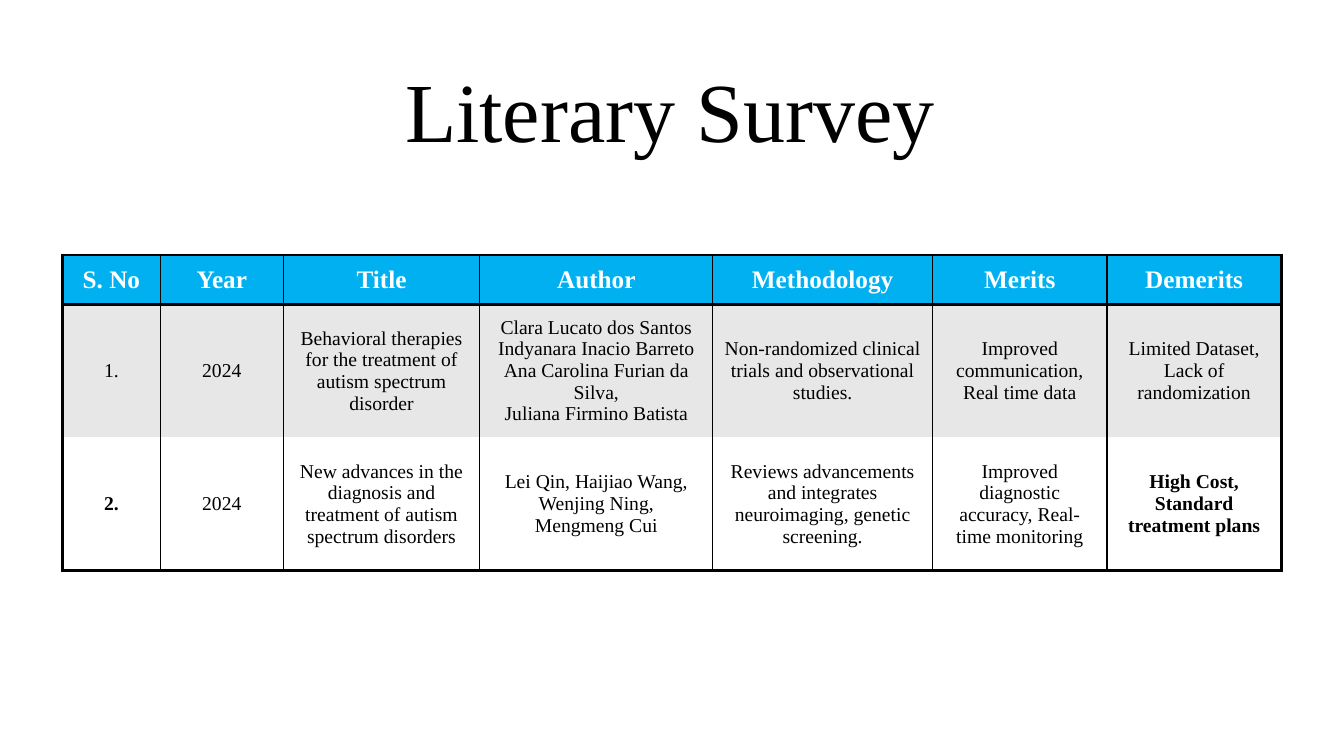
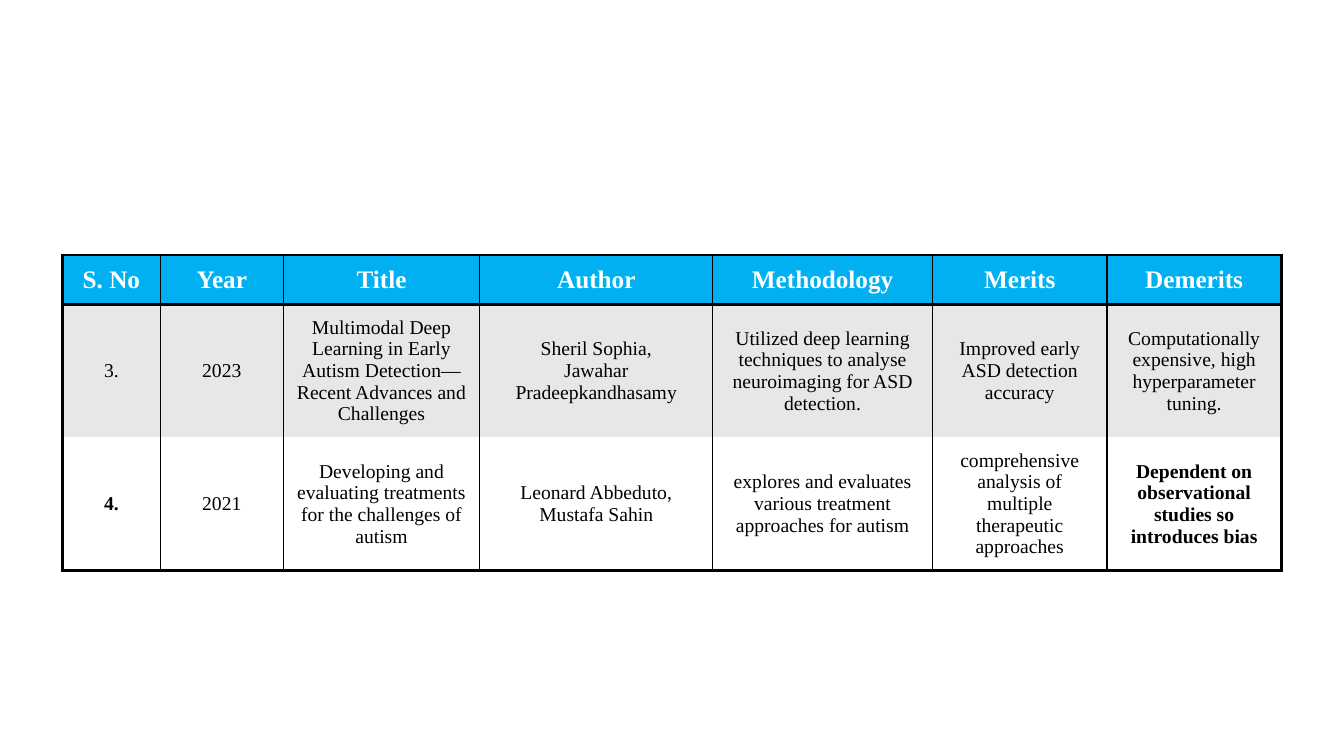
from dataclasses import dataclass
from lxml.etree import SubElement
from pptx import Presentation
from pptx.dml.color import RGBColor
from pptx.enum.text import MSO_ANCHOR, PP_ALIGN
from pptx.oxml.ns import qn
from pptx.util import Pt

PX = 9144  # EMU per px, 100 px to the inch


@dataclass(frozen=True)
class Theme:
    font: str = "Times New Roman"
    black: str = "000000"
    white: str = "FFFFFF"
    blue: str = "00B0F0"
    grey: str = "E7E7E7"
    title: int = 60
    head: int = 18
    body: int = 14
    thin: float = 1
    rule: float = 2
    frame: float = 2.25


T = Theme()
SIZE = (1333, 750)
TITLE_BOX = (392, 53, 667, 111)
GRID_BOX = (62, 253, 1209, 313)
COLS = (97, 122, 195, 231, 218, 173, 173)
ROWS = (49, 132, 132)
HEAD = ("S. No", "Year", "Title", "Author", "Methodology", "Merits", "Demerits")

# Each page: title (or None) and its table rows
PAGES = (
    ("Literary Survey", (
        ("1.", "2024",
         "Behavioral therapies for the treatment of autism spectrum disorder",
         "Clara Lucato dos Santos Indyanara Inacio Barreto "
         "Ana Carolina Furian da Silva,\nJuliana Firmino Batista",
         "Non-randomized clinical trials and observational studies.",
         "Improved communication,\nReal time data",
         "Limited Dataset,\nLack of randomization"),
        ("2.", "2024",
         "New advances in the diagnosis and treatment of autism spectrum disorders",
         "Lei Qin, Haijiao Wang, Wenjing Ning,\nMengmeng Cui",
         "Reviews advancements and integrates neuroimaging, genetic screening.",
         "Improved diagnostic accuracy, Real-time monitoring",
         "High Cost,\nStandard treatment plans"),
    )),
    (None, (
        ("3.", "2023",
         "Multimodal Deep Learning in Early Autism Detection—Recent Advances "
         "and Challenges",
         "Sheril Sophia,\nJawahar Pradeepkandhasamy",
         "Utilized deep learning techniques to analyse neuroimaging for ASD detection.",
         "Improved early ASD detection accuracy",
         "Computationally expensive, high hyperparameter tuning."),
        ("4.", "2021",
         "Developing and evaluating treatments for the challenges of autism",
         "Leonard Abbeduto, Mustafa Sahin",
         "explores and evaluates various treatment approaches for autism",
         "comprehensive analysis of multiple therapeutic approaches",
         "Dependent on observational studies so introduces bias"),
    )),
)


def emu(box):
    return [n * PX for n in box]


def style(frame, color, align, **form):
    """Give every paragraph of a text frame one look."""
    for para in frame.paragraphs:
        para.alignment = align
        for run in para.runs:
            for key, value in {"name": T.font, **form}.items():
                setattr(run.font, key, value)
            run.font.color.rgb = RGBColor.from_string(color)


def edge(cell, sides):
    """Draw cell borders; a width of 0 hides the side."""
    props = cell._tc.get_or_add_tcPr()
    for side, width in sides.items():
        line = SubElement(props, qn(f"a:ln{side}"), w=str(Pt(width)))
        if width:
            fill = SubElement(line, qn("a:solidFill"))
            SubElement(fill, qn("a:srgbClr"), val=T.black)
        else:
            SubElement(line, qn("a:noFill"))


def title(slide, box, text):
    frame = slide.shapes.add_textbox(*emu(box)).text_frame
    frame.word_wrap = True
    frame.text = text
    style(frame, T.black, PP_ALIGN.LEFT, size=Pt(T.title))


def grid(slide, box, data):
    table = slide.shapes.add_table(len(ROWS), len(COLS), *emu(box)).table
    for col, width in zip(table.columns, COLS):
        col.width = width * PX
    for row, height in zip(table.rows, ROWS):
        row.height = height * PX

    # Rules above and below each row, and beside each column
    level = (T.frame, T.rule, 0, T.frame)
    beside = (T.frame, *[T.thin] * (len(COLS) - 1), T.frame)
    fills = (T.blue, T.grey, T.white)
    last = len(ROWS) - 1

    for r, texts in enumerate((HEAD, *data)):
        for c, text in enumerate(texts):
            cell = table.cell(r, c)
            cell.text = text
            cell.vertical_anchor = MSO_ANCHOR.MIDDLE
            edge(cell, {"L": beside[c], "R": beside[c + 1],
                        "T": level[r], "B": level[r + 1]})
            cell.fill.solid()
            cell.fill.fore_color.rgb = RGBColor.from_string(fills[r])
            # Header is bold, and so are the outer cells of the last row
            bold = r == 0 or (r == last and c in (0, len(COLS) - 1))
            style(cell.text_frame, T.black if r else T.white, PP_ALIGN.CENTER,
                  size=Pt(T.body if r else T.head), bold=bold)


def main():
    deck = Presentation()
    deck.slide_width, deck.slide_height = emu(SIZE)
    for name, data in PAGES:
        slide = deck.slides.add_slide(deck.slide_layouts[6])
        grid(slide, GRID_BOX, data)
        if name:
            title(slide, TITLE_BOX, name)
    deck.save("out.pptx")


if __name__ == "__main__":
    main()
